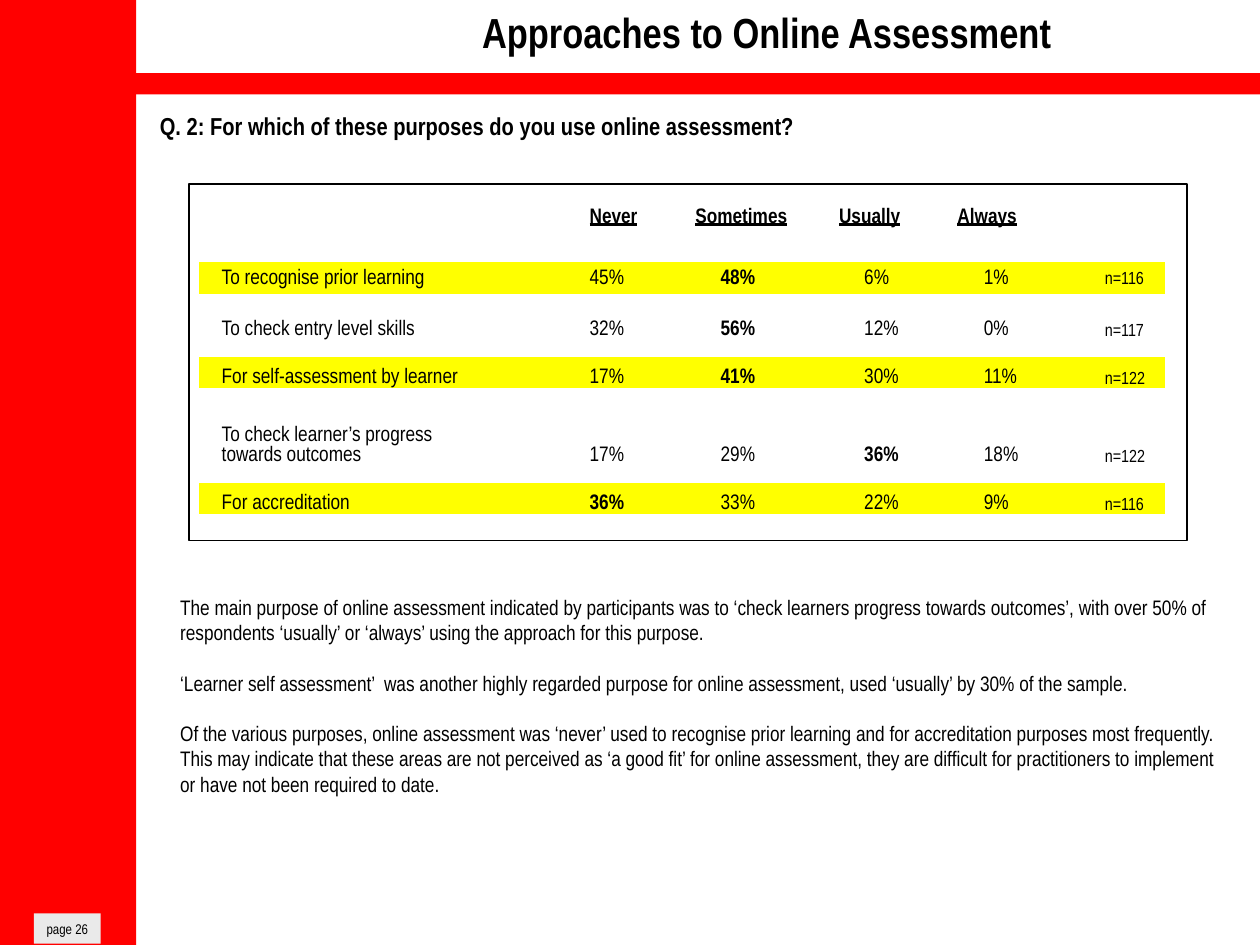
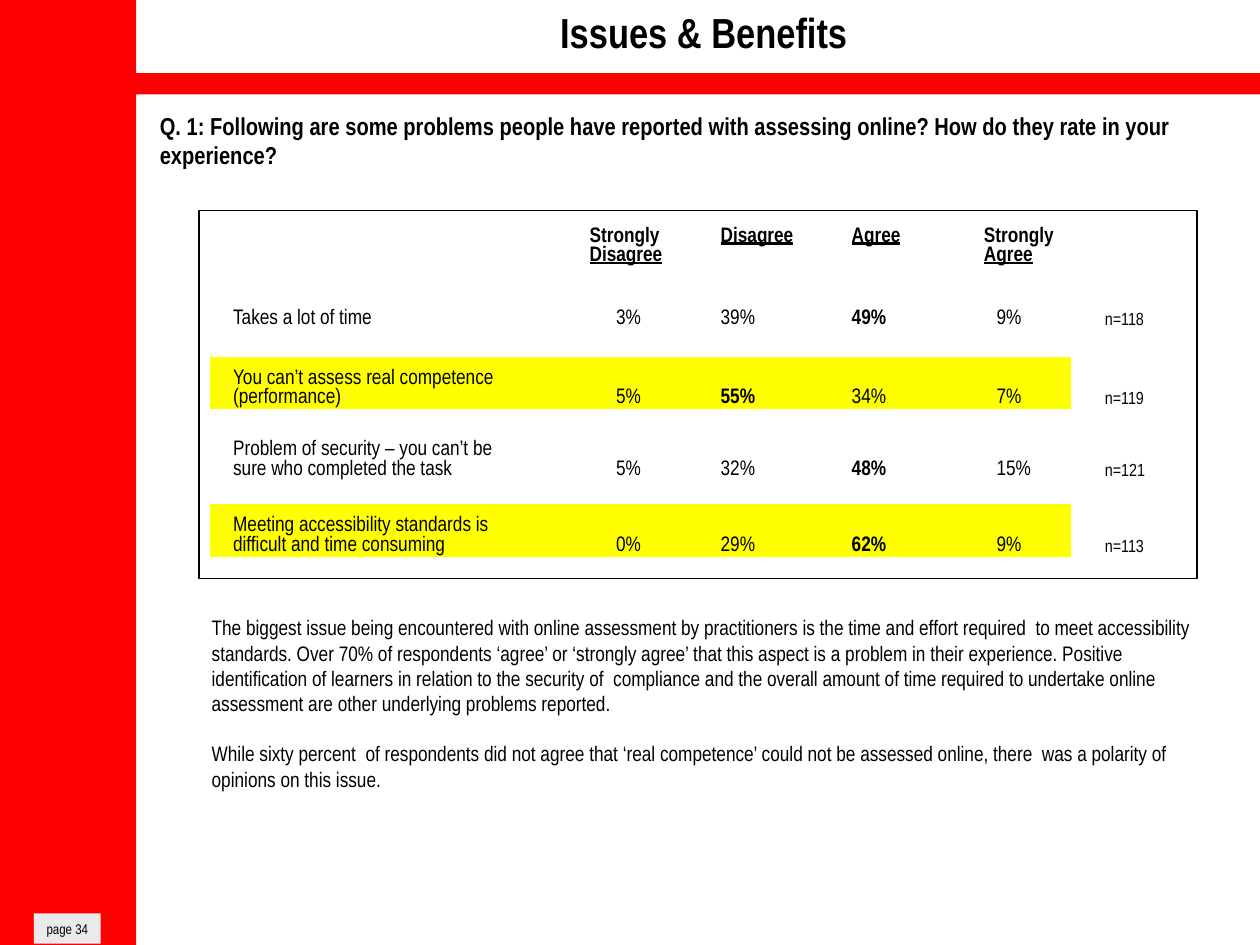
from pptx import Presentation
from pptx.dml.color import RGBColor
from pptx.enum.shapes import MSO_SHAPE
from pptx.enum.text import MSO_ANCHOR, MSO_AUTO_SIZE, PP_ALIGN
from pptx.oxml.ns import qn
from pptx.util import Inches, Pt

# Shared look
FONT = "Arial Narrow"
BLACK, RED, YELLOW, GREY = "000000", "FF0000", "FFFF00", "EAEAEA"
PLAIN_GRID = "{2D5ABB26-0587-4C30-8999-92F81FD0307C}"  # no style, no grid
LABEL_INSET, COUNT_INSET = 0.18, 0.27

# Content: boxes are left, top, width, height; rows are
# label, four percentages, sample size, gap under the text.
# edges and tops give the table's column and row boundaries.
SLIDES = [
    {
        "title": "Approaches to Online Assessment",
        "title_left": 1.67,
        "page": "page 26",
        "question": "Q. 2: For which of these purposes do you use online assessment?",
        "frame": (1.5, 1.46, 7.92, 2.83),
        "edges": (1.58, 4.68, 5.52, 6.66, 7.6, 8.5, 9.25),
        "tops": (1.46, 2.08, 2.33, 2.83, 3.08, 3.83, 4.08),
        "insets": (0, 0.2, 0.2, 0.21),
        "head_gap": 0.19,
        "heads": ("Never", "Sometimes", "Usually", "Always"),
        "first_band": 0,
        "band_count": True,
        "rows": [
            ("To recognise prior learning", (45, 48, 6, 1), 116, 0.04),
            ("To check entry level skills", (32, 56, 12, 0), 117, 0.13),
            ("For self-assessment by learner", (17, 41, 30, 11), 122, 0),
            ("To check learner’s progress\ntowards outcomes", (17, 29, 36, 18), 122, 0.13),
            ("For accreditation", (36, 33, 22, 9), 116, 0),
        ],
        "notes_box": (1.33, 4.67, 8.42, 1.7),
        "notes": [
            "The main purpose of online assessment indicated by participants was to ‘check learners progress towards outcomes’, with over 50% of respondents ‘usually’ or ‘always’ using the approach for this purpose.",
            "‘Learner self assessment’  was another highly regarded purpose for online assessment, used ‘usually’ by 30% of the sample.",
            "Of the various purposes, online assessment was ‘never’ used to recognise prior learning and for accreditation purposes most frequently. This may indicate that these areas are not perceived as ‘a good fit’ for online assessment, they are difficult for practitioners to implement or have not been required to date.",
        ],
    },
    {
        "title": "Issues & Benefits",
        "title_left": 1.17,
        "page": "page 34",
        "question": "Q. 1: Following are some problems people have reported with assessing online? How do they rate in your experience?",
        "frame": (1.58, 1.67, 7.92, 2.92),
        "edges": (1.67, 4.68, 5.72, 6.76, 7.81, 8.5, 9.4),
        "tops": (1.67, 2.33, 2.83, 3.25, 4, 4.42),
        "insets": (0.21, 0, 0, 0.1),
        "head_gap": 0.13,
        "heads": ("Strongly\nDisagree", "Disagree", "Agree", "Strongly\nAgree"),
        "first_band": 1,
        "band_count": False,
        "rows": [
            ("Takes a lot of time", (3, 39, 49, 9), 118, 0.22),
            ("You can’t assess real competence\n(performance)", (5, 55, 34, 7), 119, 0.01),
            ("Problem of security – you can’t be\nsure who completed the task", (5, 32, 48, 15), 121, 0.19),
            ("Meeting accessibility standards is\ndifficult and time consuming", (0, 29, 62, 9), 113, 0.01),
        ],
        "notes_box": (1.58, 4.83, 8, 1.5),
        "notes": [
            "The biggest issue being encountered with online assessment by practitioners is the time and effort required  to meet accessibility standards. Over 70% of respondents ‘agree’ or ‘strongly agree’ that this aspect is a problem in their experience. Positive identification of learners in relation to the security of  compliance and the overall amount of time required to undertake online assessment are other underlying problems reported.",
            "While sixty percent  of respondents did not agree that ‘real competence’ could not be assessed online, there  was a polarity of opinions on this issue.",
        ],
    },
]


def color(code):
    return RGBColor.from_string(code)


def box(left, top, width, height):
    return Inches(left), Inches(top), Inches(width), Inches(height)


def style(frame, size, bold=False, align=PP_ALIGN.LEFT):
    for para in frame.paragraphs:
        para.alignment = align
        for run in para.runs:
            run.font.name = FONT
            run.font.size = Pt(size)
            run.font.bold = bold
            run.font.color.rgb = color(BLACK)


def rect(slide, place, fill=None, line=None):
    shape = slide.shapes.add_shape(MSO_SHAPE.RECTANGLE, *box(*place))
    shape.shadow.inherit = False
    if fill:
        shape.fill.solid()
        shape.fill.fore_color.rgb = color(fill)
    else:
        shape.fill.background()
    if line:
        shape.line.color.rgb = color(line)
        shape.line.width = Pt(0.75)
    else:
        shape.line.fill.background()
    return shape


def set_holder(holder, place, text):
    holder.left, holder.top, holder.width, holder.height = box(*place)
    frame = holder.text_frame
    frame.text = text
    frame.word_wrap = True
    frame.auto_size = MSO_AUTO_SIZE.NONE
    frame.vertical_anchor = MSO_ANCHOR.TOP
    return frame


def add_base(slide, data):
    # Side band, title rule and page tag
    rect(slide, (0, 0, 1.08, 7.5), RED)
    rect(slide, (1.08, 0.58, 8.92, 0.17), RED)
    tag = rect(slide, (0.27, 7.25, 0.53, 0.24), GREY).text_frame
    tag.text = data["page"]
    tag.word_wrap = False
    style(tag, 8, align=PP_ALIGN.CENTER)

    # Title and question
    title = set_holder(slide.shapes.title, (data["title_left"], 0, 8.83, 0.5), data["title"])
    style(title, 24, True, PP_ALIGN.CENTER)
    ask = slide.shapes.add_textbox(*box(1.17, 0.83, 8.83, 0.57)).text_frame
    ask.word_wrap = True
    ask.text = data["question"]
    style(ask, 14, True)


def set_cell(cell, text, inset, size=12, bold=False, fill=None, top=0, bottom=0):
    cell.text = text
    cell.margin_left, cell.margin_right = Inches(inset), 0
    cell.margin_top, cell.margin_bottom = Inches(top), Inches(bottom)
    cell.vertical_anchor = MSO_ANCHOR.TOP if top else MSO_ANCHOR.BOTTOM
    if fill:
        cell.fill.solid()
        cell.fill.fore_color.rgb = color(fill)
    else:
        cell.fill.background()
    style(cell.text_frame, size, bold)


def add_grid(slide, data):
    edges, tops = data["edges"], data["tops"]
    place = box(edges[0], tops[0], edges[-1] - edges[0], tops[-1] - tops[0])
    grid = slide.shapes.add_table(len(tops) - 1, len(edges) - 1, *place).table
    grid.first_row = grid.horz_banding = False
    grid._tbl.tblPr.find(qn("a:tableStyleId")).text = PLAIN_GRID
    for col, start, end in zip(grid.columns, edges, edges[1:]):
        col.width = Inches(end - start)
    for row, start, end in zip(grid.rows, tops, tops[1:]):
        row.height = Inches(end - start)

    # Header: only the last line of each heading is underlined
    for i, head in enumerate(("", *data["heads"], "")):
        cell = grid.cell(0, i)
        set_cell(cell, head, 0, bold=True, top=data["head_gap"])
        for run in cell.text_frame.paragraphs[-1].runs:
            run.font.underline = True

    # Answers: every other row is banded, the highest share is bold
    for i, (label, shares, count, gap) in enumerate(data["rows"]):
        fill = YELLOW if i % 2 == data["first_band"] else None
        cells = grid.rows[i + 1].cells
        set_cell(cells[0], label, LABEL_INSET, fill=fill, bottom=gap)
        for j, (share, inset) in enumerate(zip(shares, data["insets"]), 1):
            set_cell(cells[j], f"{share}%", inset, bold=share == max(shares), fill=fill, bottom=gap)
        tint = fill if data["band_count"] else None
        set_cell(cells[5], f"n={count}", COUNT_INSET, 10, fill=tint, bottom=gap)

    rect(slide, data["frame"], line=BLACK)


def add_notes(slide, data):
    frame = set_holder(slide.placeholders[1], data["notes_box"], "\n".join(data["notes"]))
    for i, para in enumerate(frame.paragraphs):
        props = para._p.get_or_add_pPr()
        props.set("marL", "0")
        props.set("indent", "0")
        props.append(props.makeelement(qn("a:buNone"), {}))
        para.space_before = Pt(14.4 if i else 0)
    style(frame, 12)


def main():
    deck = Presentation()
    deck.slide_width, deck.slide_height = Inches(10), Inches(7.5)
    for data in SLIDES:
        slide = deck.slides.add_slide(deck.slide_layouts[1])
        add_base(slide, data)
        add_grid(slide, data)
        add_notes(slide, data)
    deck.save("out.pptx")


if __name__ == "__main__":
    main()
